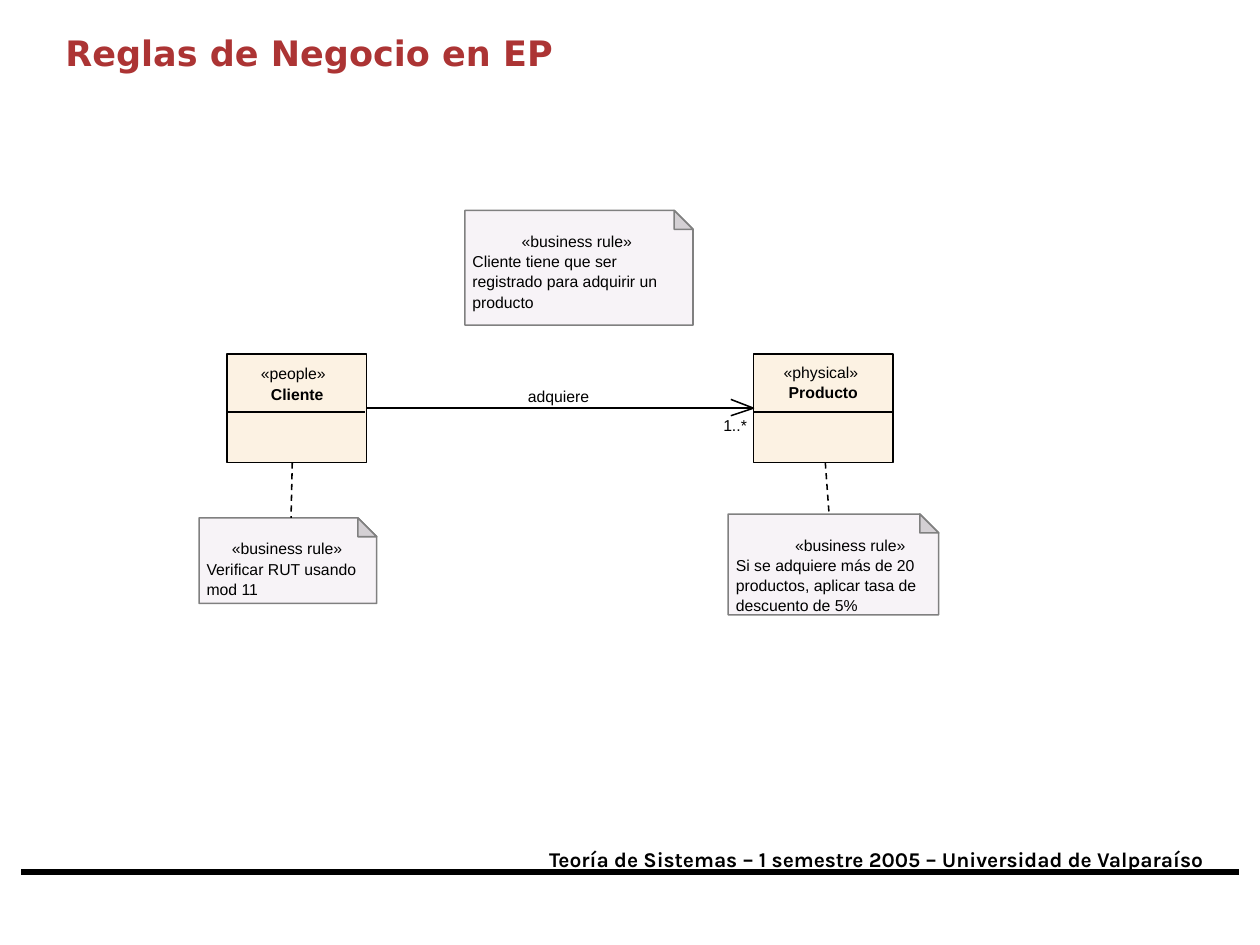
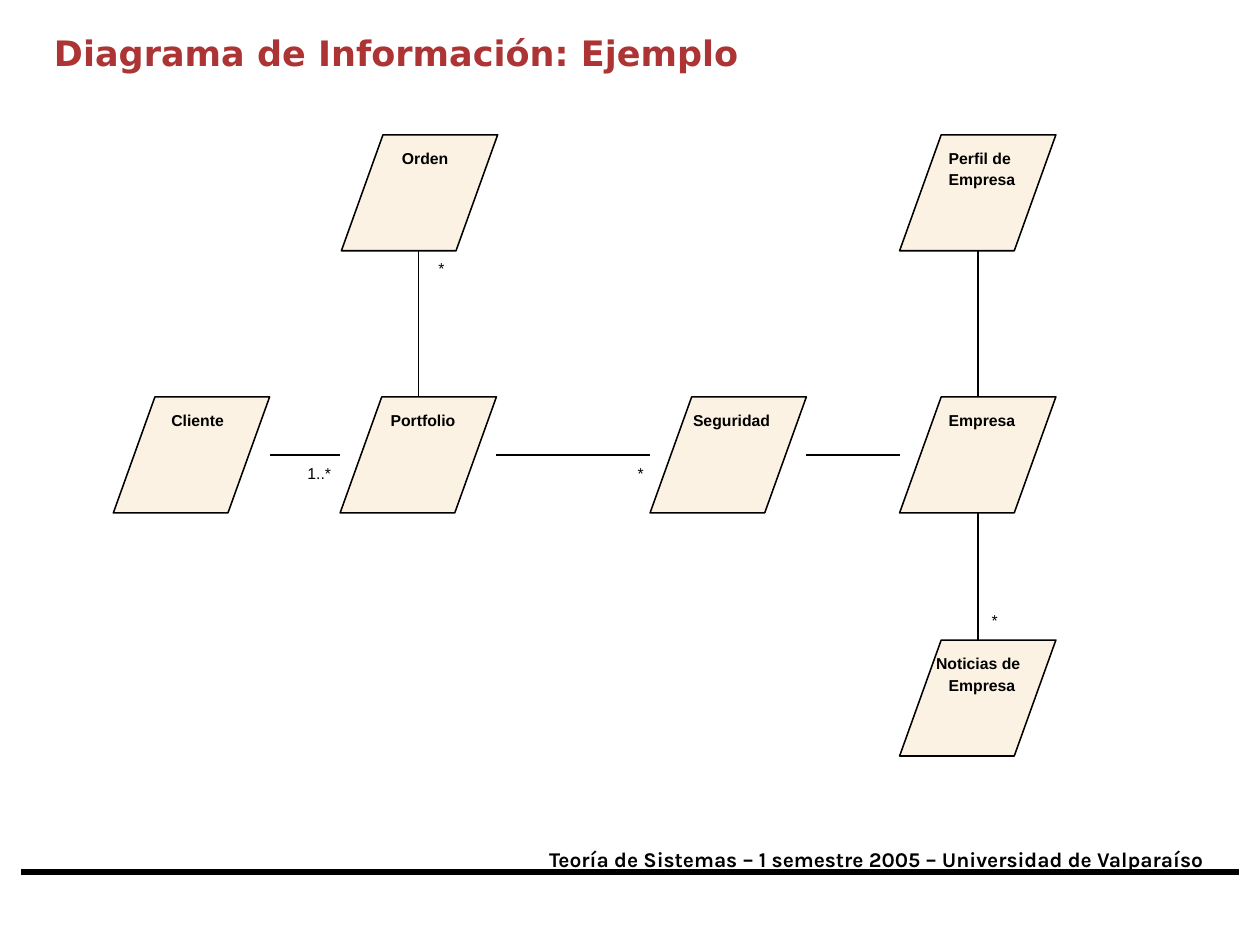
from dataclasses import dataclass

from lxml import etree
from pptx import Presentation
from pptx.dml.color import RGBColor
from pptx.enum.dml import MSO_LINE
from pptx.enum.shapes import MSO_CONNECTOR as CXN, MSO_SHAPE as SHAPE
from pptx.enum.text import MSO_ANCHOR as ANCHOR
from pptx.oxml.ns import qn
from pptx.util import Inches, Pt


@dataclass(frozen=True)
class Theme:
    ink: str = "000000"
    title: str = "AC3434"
    box: str = "FCF2E3"
    note: str = "F7F3F7"
    fold: str = "D4D0D4"
    note_line: str = "808080"
    title_font: str = "DejaVu Sans"
    footer_font: str = "Karla"
    body_font: str = "Arial"
    title_size: float = 20
    footer_size: float = 12
    body_size: float = 9
    line_pitch: float = 11.55
    thin: float = 0.88
    thick: float = 3


FOOTER = "Teoría de Sistemas – 1 semestre 2005 – Universidad de Valparaíso"
LABEL_H, LABEL_SLACK = 0.15, 0.1
NODE_W, NODE_H, NODE_SLANT = 1.24, 0.92, 0.33
CLASS_W, CLASS_H = 1.11, 0.86
FOLD = 0.15


class Deck:
    def __init__(self, theme):
        self.theme = theme
        self.prs = Presentation()
        self.prs.slide_width, self.prs.slide_height = Inches(10), Inches(7.5)
        self.slide = None

    def new_slide(self, title, x, w):
        t = self.theme
        self.slide = self.prs.slides.add_slide(self.prs.slide_layouts[6])
        self.line((0.17, 6.92), (9.83, 6.92), t.thick)
        self.text(FOOTER, (4.26, 6.67, 5.6, 0.3), t.footer_font, t.footer_size,
                  t.ink, bold=True, wrap=False, margins=(0.1, 0.05))
        tf = self.text(title, (x, 0.08, w, 0.67), t.title_font, t.title_size,
                       t.title, bold=True, margins=(0.1, 0.05))
        tf.vertical_anchor = ANCHOR.MIDDLE

    def text(self, text, box, font, size, color, bold=False, wrap=True, margins=(0, 0)):
        tf = self.slide.shapes.add_textbox(*map(Inches, box)).text_frame
        tf.word_wrap = wrap
        tf.margin_left = tf.margin_right = Inches(margins[0])
        tf.margin_top = tf.margin_bottom = Inches(margins[1])
        tf.text = text
        for p in tf.paragraphs:
            for r in p.runs:
                r.font.name, r.font.size, r.font.bold = font, Pt(size), bold
                r.font.color.rgb = RGBColor.from_string(color)
        return tf

    def label(self, text, x, y, w, bold=False):
        t = self.theme
        self.text(text, (x, y, w + LABEL_SLACK, LABEL_H),
                  t.body_font, t.body_size, t.ink, bold)

    def paint(self, sp, fill, line):
        sp.shadow.inherit = False
        if fill:
            sp.fill.solid()
            sp.fill.fore_color.rgb = RGBColor.from_string(fill)
        else:
            sp.fill.background()
        sp.line.color.rgb = RGBColor.from_string(line)
        sp.line.width = Pt(self.theme.thin)
        return sp

    def outline(self, points, fill, line, close=True):
        start, *rest = [(Inches(x), Inches(y)) for x, y in points]
        builder = self.slide.shapes.build_freeform(*start)
        builder.add_line_segments(rest, close=close)
        return self.paint(builder.convert_to_shape(), fill, line)

    def line(self, start, end, width=None, dashed=False):
        cxn = self.slide.shapes.add_connector(
            CXN.STRAIGHT, *map(Inches, (*start, *end)))
        cxn.line.color.rgb = RGBColor.from_string(self.theme.ink)
        cxn.line.width = Pt(width or self.theme.thin)
        if dashed:
            cxn.line.dash_style = MSO_LINE.DASH
        etree.SubElement(cxn._element.spPr, qn("a:effectLst"))
        return cxn

    def class_box(self, x, y, stereotype, name):
        sp = self.slide.shapes.add_shape(
            SHAPE.RECTANGLE, *map(Inches, (x, y, CLASS_W, CLASS_H)))
        self.paint(sp, self.theme.box, self.theme.ink)
        self.label(*stereotype)
        self.label(*name, bold=True)
        self.line((x, y + 0.46), (x + CLASS_W - 0.01, y + 0.46))
        return sp

    def note(self, x, y, w, h, heading_x, rule):
        t = self.theme
        right, bottom = x + w, y + h
        cut, crease = (right - FOLD, y), (right, y + FOLD)
        self.outline([(x, y), (x, bottom), (right, bottom), crease, cut],
                     t.note, t.note_line)
        self.outline([cut, (right - FOLD, y + FOLD), crease], t.fold, t.note_line)
        self.label("«business rule»", heading_x, y + 0.17, 0.88)
        tf = self.text(rule, (x + 0.06, y + 0.32, w - 0.15, h - 0.32),
                       t.body_font, t.body_size, t.ink)
        tf.paragraphs[0].line_spacing = Pt(t.line_pitch)

    def node(self, x, y, *lines):
        right, bottom = x + NODE_W, y + NODE_H
        self.outline([(x + NODE_SLANT, y), (right, y),
                      (right - NODE_SLANT, bottom), (x, bottom)],
                     self.theme.box, self.theme.ink)
        for i, (text, text_x, w) in enumerate(lines):
            self.label(text, text_x, y + 0.11 + 0.17 * i, w, bold=True)
        return x, y

    def link_right(self, a, b):
        mid = a[1] + NODE_H / 2
        self.line((a[0] + NODE_W, mid), (b[0], mid))

    def link_down(self, a, b):
        mid = b[0] + NODE_W / 2
        self.line((mid, a[1] + NODE_H), (mid, b[1]))


def business_rules(deck):
    deck.new_slide("Reglas de Negocio en EP", 0.42, 6.42)
    class_y = 2.81
    axis_y = class_y + CLASS_H / 2
    client = deck.class_box(1.8, class_y, ("«people»", 2.07, 2.89, 0.52),
                            ("Cliente", 2.15, 3.05, 0.42))
    product = deck.class_box(5.98, class_y, ("«physical»", 6.22, 2.88, 0.59),
                             ("Producto", 6.26, 3.04, 0.55))
    deck.note(1.58, 4.11, 1.41, 0.68, 1.84, "Verificar RUT usando mod 11")
    deck.note(5.78, 4.08, 1.67, 0.8, 6.31,
              "Si se adquiere más de 20 productos, aplicar tasa de descuento de 5%")
    deck.note(3.69, 1.67, 1.81, 0.91, 4.14,
              "Cliente tiene que ser registrado para adquirir un producto")
    deck.line((6.55, 3.67), (6.58, 4.08), dashed=True)
    deck.line((2.32, 3.67), (2.31, 4.11), dashed=True)
    buys = deck.line((2.91, axis_y), (5.98, axis_y))
    buys.begin_connect(client, 3)
    buys.end_connect(product, 1)
    deck.outline([(5.8, axis_y - 0.07), (5.98, axis_y), (5.8, axis_y + 0.06)],
                 None, deck.theme.ink, close=False)
    deck.label("adquiere", 4.19, 3.07, 0.49)
    deck.label("1..*", 5.74, 3.3, 0.19)


def information_diagram(deck):
    deck.new_slide("Diagrama de Información: Ejemplo", 0.33, 6.75)
    top, middle, bottom = 1.07, 3.15, 5.08
    company_x = 7.14
    order = deck.node(2.71, top, ("Orden", 3.19, 0.37))
    client = deck.node(0.9, middle, ("Cliente", 1.36, 0.42))
    portfolio = deck.node(2.7, middle, ("Portfolio", 3.1, 0.51))
    security = deck.node(5.16, middle, ("Seguridad", 5.5, 0.61))
    company_label = ("Empresa", 7.53, 0.53)
    company = deck.node(company_x, middle, company_label)
    profile = deck.node(company_x, top, ("Perfil de", 7.53, 0.53), company_label)
    news = deck.node(company_x, bottom, ("Noticias de", 7.43, 0.7), company_label)

    row = [client, portfolio, security, company]
    for a, b in zip(row, row[1:]):
        deck.link_right(a, b)
    for a, b in [(order, portfolio), (profile, company), (company, news)]:
        deck.link_down(a, b)
    deck.label("1..*", 2.44, 3.68, 0.19)
    for x, y in [(3.48, 2.05), (5.06, 3.68), (7.87, 4.85)]:
        deck.label("*", x, y, 0.05)


def main():
    deck = Deck(Theme())
    business_rules(deck)
    information_diagram(deck)
    deck.prs.save("out.pptx")


if __name__ == "__main__":
    main()
